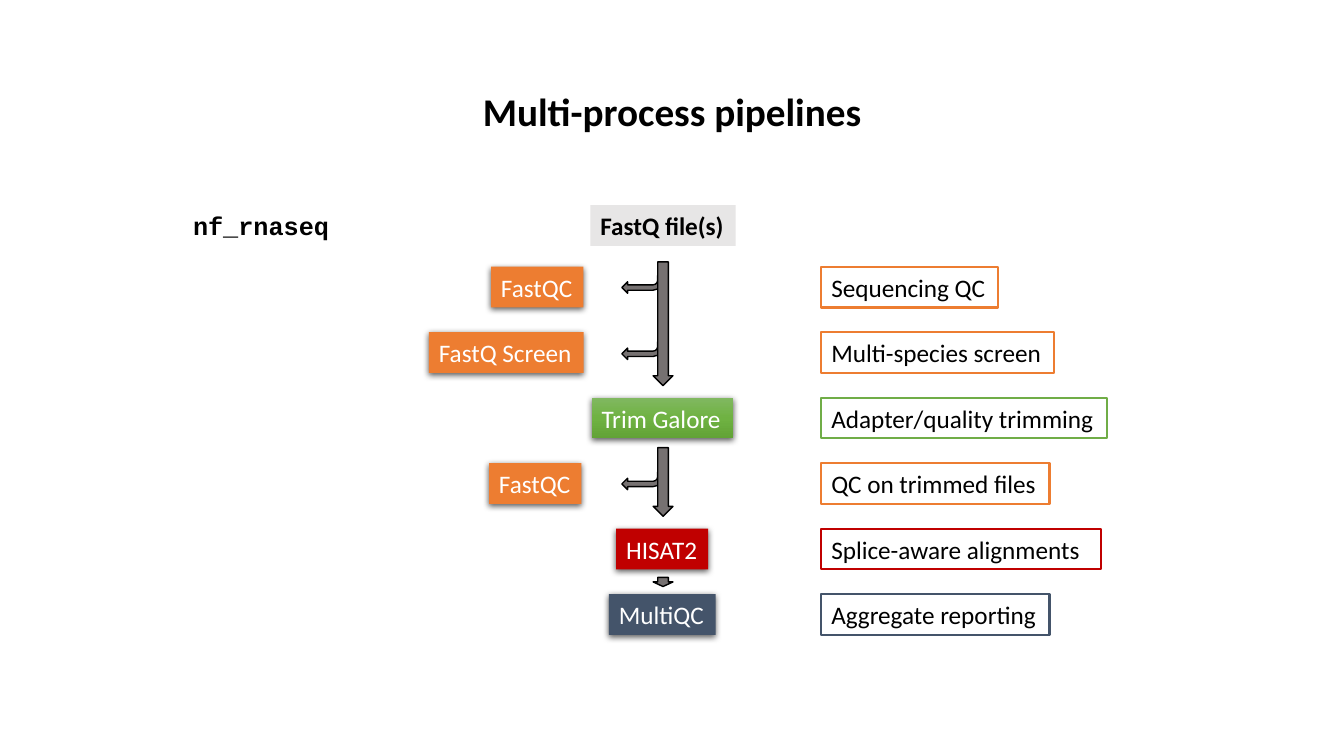
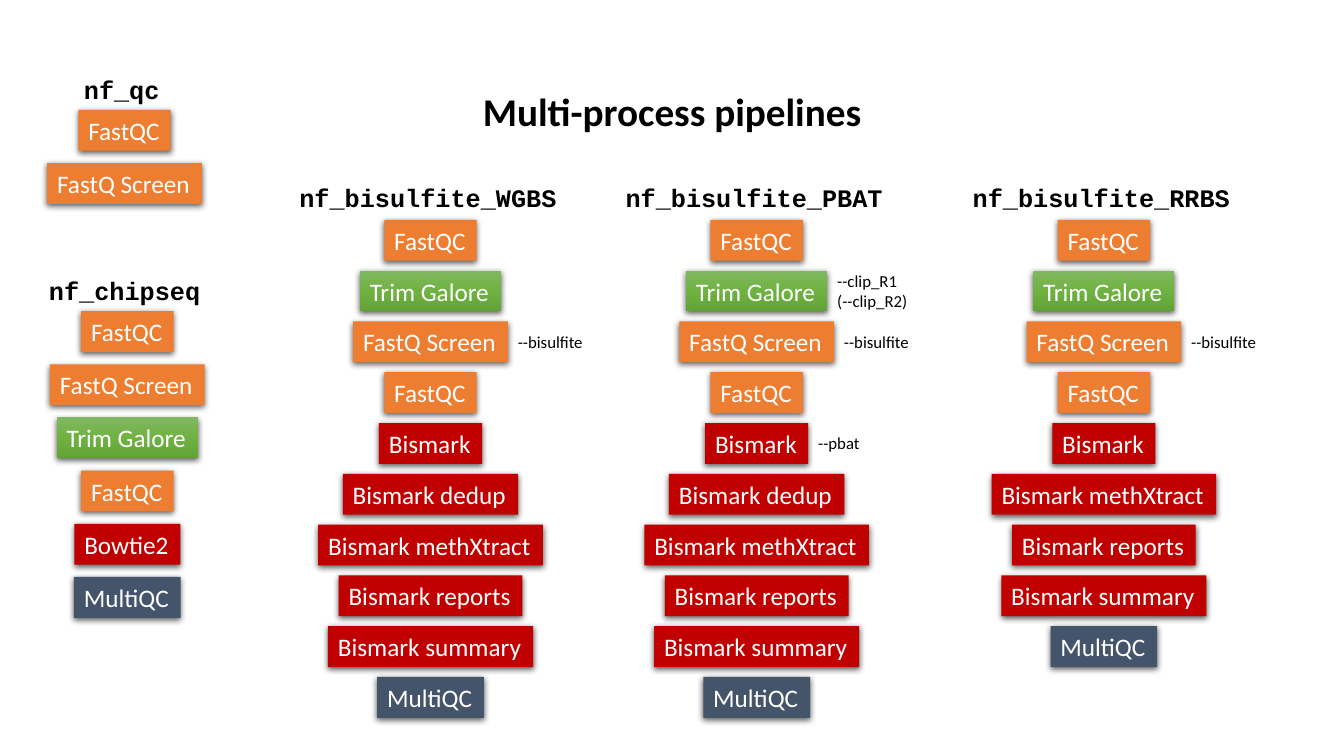
from copy import deepcopy

from lxml.etree import SubElement
from pptx import Presentation
from pptx.dml.color import RGBColor
from pptx.enum.shapes import MSO_SHAPE
from pptx.enum.text import MSO_ANCHOR, MSO_AUTO_SIZE, PP_ALIGN
from pptx.oxml.ns import qn
from pptx.util import Cm, Pt

COLOURS = {
    "text": "000000", "white": "FFFFFF", "input": "E7E6E6", "arrow": "767171",
    "check": "ED7D31", "trim": "70AD47", "align": "C00000", "report": "44546A",
}
TRIM_GRADIENT = [(0, "81B861"), (0.5, "6FB242"), (1, "62A336")]

# Each tool: kind of step and box width in cm
TOOLS = {
    "FastQC": ("check", 2.33),
    "FastQ Screen": ("check", 3.9),
    "Trim Galore": ("trim", 3.56),
    "HISAT2": ("align", 2.32),
    "Bowtie2": ("align", 2.67),
    "Bismark": ("align", 2.6),
    "Bismark dedup": ("align", 4.42),
    "Bismark methXtract": ("align", 5.66),
    "Bismark reports": ("align", 4.63),
    "Bismark summary": ("align", 5.17),
    "MultiQC": ("report", 2.69),
}
BOX_HEIGHT = 1.03


def rgb(name):
    return RGBColor.from_string(COLOURS[name])


def write(frame, text, size=18, font="Calibri", colour="text", bold=False,
          align=PP_ALIGN.LEFT, wrap=False, line_spacing=None):
    """Fill a text frame, one paragraph per line of text."""
    frame.word_wrap = wrap
    for index, line in enumerate(text.split("\n")):
        para = frame.add_paragraph() if index else frame.paragraphs[0]
        para.alignment = align
        para.line_spacing = line_spacing
        span = para.add_run()
        span.text = line
        span.font.name, span.font.size, span.font.bold = font, Pt(size), bold
        span.font.color.rgb = rgb(colour)


class PipelineDeck:
    def __init__(self):
        self.deck = Presentation()
        self.deck.slide_width, self.deck.slide_height = Cm(33.87), Cm(19.05)

    def new_page(self, title):
        self.page = self.deck.slides.add_slide(self.deck.slide_layouts[5])
        self.shapes = self.page.shapes
        box = self.page.shapes.title
        box.left, box.top, box.width, box.height = Cm(2.33), Cm(1.03), Cm(29.21), Cm(3.68)
        box.text_frame.vertical_anchor = MSO_ANCHOR.MIDDLE
        write(box.text_frame, title, size=28, bold=True, wrap=True,
              align=PP_ALIGN.CENTER, line_spacing=0.9)

    def start_group(self):
        self.shapes = self.page.shapes.add_group_shape().shapes

    def shape(self, kind, left, top, width, height, fill, line=None, weight=1):
        shape = self.shapes.add_shape(kind, Cm(left), Cm(top), Cm(width), Cm(height))
        shape.shadow.inherit = False
        shape.fill.solid()
        shape.fill.fore_color.rgb = rgb(fill)
        if line:
            shape.line.color.rgb = rgb(line)
            shape.line.width = Pt(weight)
        else:
            shape.line.fill.background()
        return shape

    def box(self, text, left, top, width, fill, line=None, **style):
        box = self.shape(MSO_SHAPE.RECTANGLE, left, top, width, BOX_HEIGHT, fill, line, 1.5)
        box.text_frame.auto_size = MSO_AUTO_SIZE.SHAPE_TO_FIT_TEXT
        write(box.text_frame, text, **style)
        return box

    def tool(self, name, centre, top):
        """Draw a shadowed tool box and return its right edge."""
        kind, width = TOOLS[name]
        box = self.box(name, centre - width / 2, top, width, kind, colour="white")
        if kind == "trim":
            self.gradient(box)
        self.shadow(box)
        return centre + width / 2

    def gradient(self, box):
        box.fill.gradient()
        box.fill.gradient_angle = 270
        stops = box.element.spPr.find(".//" + qn("a:gsLst"))
        stops.append(deepcopy(stops[0]))
        for stop, (position, colour) in zip(box.fill.gradient_stops, TRIM_GRADIENT):
            stop.position = position
            stop.color.rgb = RGBColor.from_string(colour)

    def shadow(self, box):
        effects = box.element.spPr.find(qn("a:effectLst"))
        outer = SubElement(effects, qn("a:outerShdw"), blurRad=str(Pt(4.5)),
                           dist=str(Pt(1.5)), dir="5400000", algn="ctr", rotWithShape="0")
        colour = SubElement(outer, qn("a:srgbClr"), val=COLOURS["text"])
        SubElement(colour, qn("a:alpha"), val="63000")

    def text(self, text, left, top, width, height, **style):
        box = self.shapes.add_textbox(Cm(left), Cm(top), Cm(width), Cm(height))
        box.text_frame.auto_size = MSO_AUTO_SIZE.SHAPE_TO_FIT_TEXT
        write(box.text_frame, text, **style)

    def heading(self, text, centre, top):
        # Fixed-pitch letters plus side insets and a little slack
        width = 0.38 * len(text) + 0.65
        self.text(text, centre - width / 2, top, width, BOX_HEIGHT,
                  font="Courier New", bold=True)

    def note(self, text, left, box_top, width):
        height = 0.26 + 0.51 * len(text.split("\n"))
        self.text(text, left, box_top + (BOX_HEIGHT - height) / 2, width, height, size=12)

    def arrow(self, kind, left, top, width, height, adjustments, rotation=0):
        arrow = self.shape(kind, left, top, width, height, "arrow", "text")
        arrow.rotation = rotation
        for index, value in enumerate(adjustments):
            arrow.adjustments[index] = value

    def column(self, heading, centre, top, first_gap, pitch, steps, notes):
        """Draw one pipeline as a centred stack of tools under its name."""
        self.start_group()
        self.heading(heading, centre, top)
        for row, name in enumerate(steps):
            step_top = top + first_gap + row * pitch
            right = self.tool(name, centre, step_top)
            if name in notes:
                text, width = notes[name]
                self.note(text, right, step_top, width)


def build_rnaseq(deck):
    deck.new_page("Multi-process pipelines")
    deck.heading("nf_rnaseq", 6.65, 5.18)
    deck.box("FastQ file(s)", 14.88, 5.17, 3.66, "input", bold=True)

    # Side branches first, main flow over them
    for top in (6.81, 8.48, 11.76):
        deck.arrow(MSO_SHAPE.BENT_ARROW, 15.67, top, 1.04, 0.58,
                   (0.234, 0.25, 0.25, 0.438), rotation=180)
    for top, height in ((6.6, 3.12), (11.28, 1.73), (14.55, 0.23)):
        deck.arrow(MSO_SHAPE.DOWN_ARROW, 16.46, top, 0.5, height, (0.532, 0.5))

    # Tool, its centre, what it does, width of that label
    steps = [
        ("FastQC", 13.54, "Sequencing QC", 4.46),
        ("FastQ Screen", 12.76, "Multi-species screen", 5.87),
        ("Trim Galore", 16.69, "Adapter/quality trimming", 7.2),
        ("FastQC", 13.49, "QC on trimmed files", 5.75),
        ("HISAT2", 16.69, "Splice-aware alignments", 7.04),
        ("MultiQC", 16.69, "Aggregate reporting", 5.75),
    ]
    for row, (name, centre, label, width) in enumerate(steps):
        top = 6.72 + row * 1.65
        deck.tool(name, centre, top)
        deck.box(label, 20.7, top, width, "white", line=TOOLS[name][0], wrap=True)


def build_overview(deck):
    deck.new_page("Multi-process pipelines")

    # Short pipelines on the left
    quality = ["FastQC", "FastQ Screen"]
    chipseq = quality + ["Trim Galore", "FastQC", "Bowtie2", "MultiQC"]
    for heading, centre, top, steps in (("nf_qc", 3.14, 1.75, quality),
                                        ("nf_chipseq", 3.21, 6.82, chipseq)):
        deck.column(heading, centre, top, 1.02, 1.34, steps, {})

    # Bisulfite pipelines share most steps
    start = ["FastQC", "Trim Galore", "FastQ Screen", "FastQC", "Bismark"]
    finish = ["Bismark methXtract", "Bismark reports", "Bismark summary", "MultiQC"]
    full = start + ["Bismark dedup"] + finish
    screen = {"FastQ Screen": ("--bisulfite", 2.16)}
    pbat = screen | {"Trim Galore": ("--clip_R1\n(--clip_R2)", 2.29),
                     "Bismark": ("--pbat", 1.55)}
    for heading, centre, steps, notes in (
            ("nf_bisulfite_WGBS", 10.85, full, screen),
            ("nf_bisulfite_PBAT", 19.07, full, pbat),
            ("nf_bisulfite_RRBS", 27.82, start + finish, screen)):
        deck.column(heading, centre, 4.47, 1.07, 1.28, steps, notes)


def main():
    deck = PipelineDeck()
    build_rnaseq(deck)
    build_overview(deck)
    deck.deck.save("out.pptx")


if __name__ == "__main__":
    main()
